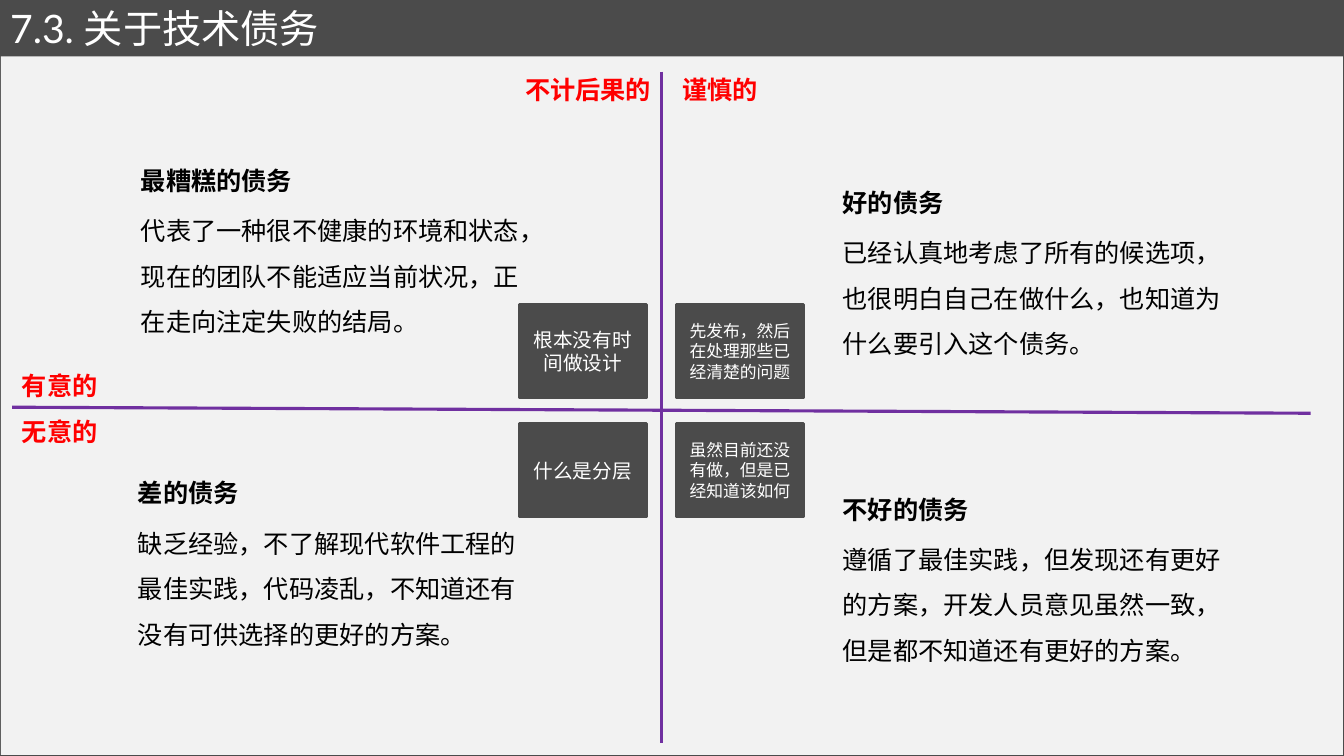
from lxml import etree
from pptx import Presentation
from pptx.dml.color import RGBColor
from pptx.enum.shapes import MSO_CONNECTOR, MSO_SHAPE
from pptx.enum.text import MSO_ANCHOR, PP_ALIGN
from pptx.oxml.ns import qn
from pptx.util import Inches, Pt

RECT, LINE = MSO_SHAPE.RECTANGLE, MSO_CONNECTOR.STRAIGHT
MIDDLE, TOP = MSO_ANCHOR.MIDDLE, MSO_ANCHOR.TOP
LEFT, CENTER = PP_ALIGN.LEFT, PP_ALIGN.CENTER

# Content
TITLE = "7.3. 关于技术债务"
COLORS = {"dark": "4B4B4B", "panel": "F2F2F2", "axis": "7030A0",
          "label": "FF0000", "text": "000000", "white": "FFFFFF"}
LABELS = [  # text, left, top, width
    ("不计后果的", 5.11, 0.69, 1.46),
    ("谨慎的", 6.67, 0.69, 0.96),
    ("有意的", 0.12, 3.62, 0.96),
    ("无意的", 0.12, 4.08, 0.96),
]
QUOTES = [  # rows of the quadrant, left to right
    ["根本没有时间做设计", "先发布，然后在处理那些已经清楚的问题"],
    ["什么是分层", "虽然目前还没有做，但是已经知道该如何"],
]
DEBTS = [  # left, top, heading, description
    (8.26, 1.81, "好的债务",
     "已经认真地考虑了所有的候选项，也很明白自己在做什么，也知道为什么要引入这个债务。"),
    (8.26, 4.85, "不好的债务",
     "遵循了最佳实践，但发现还有更好的方案，开发人员意见虽然一致，但是都不知道还有更好的方案。"),
    (1.3, 1.59, "最糟糕的债务",
     "代表了一种很不健康的环境和状态，现在的团队不能适应当前状况，正在走向注定失败的结局。"),
    (1.27, 4.69, "差的债务",
     "缺乏经验，不了解现代软件工程的最佳实践，代码凌乱，不知道还有没有可供选择的更好的方案。"),
]

# Grid of the quadrant
W, H = 13.33, 7.5
AXES = [(0.12, 4.04, 13, 4.1), (6.56, 0.71, 6.56, 7.37)]
QUOTE_LEFT, QUOTE_TOP, QUOTE_W, QUOTE_H = 5.15, 3.02, 1.26, 0.93
COL_STEP, ROW_STEP = 1.56, 1.18
QUOTE_SIZES = [14, 12]  # by column

prs = Presentation()
prs.slide_width, prs.slide_height = Inches(W), Inches(H)
s = prs.slides.add_slide(prs.slide_layouts[5])


def rgb(name):
    return RGBColor.from_string(COLORS[name])


def style(p, size, font, color, bold=False, align=LEFT):
    p.alignment = align
    p.font.size, p.font.name, p.font.bold = Pt(size), font, bold
    p.font.color.rgb = rgb(color)


def add_box(left, top, width, height, fill):
    sp = s.shapes.add_shape(RECT, *map(Inches, (left, top, width, height)))
    sp.shadow.inherit = False
    sp.fill.solid()
    sp.fill.fore_color.rgb = rgb(fill)
    sp.line.fill.background()
    return sp


def add_text(left, top, width, height, wrap):
    tf = s.shapes.add_textbox(*map(Inches, (left, top, width, height))).text_frame
    tf.word_wrap = wrap
    tf.vertical_anchor = TOP
    return tf


# Background, panel and title
s.background.fill.solid()
s.background.fill.fore_color.rgb = rgb("dark")
add_box(0.01, 0.56, 13.31, 6.93, "panel")
title = s.shapes.title
title.left, title.top, title.width, title.height = map(Inches, (0, 0.01, 11.16, 0.53))
tf = title.text_frame
tf.text = TITLE
tf.vertical_anchor = MIDDLE
style(tf.paragraphs[0], 28, "Lato", "white")

# Axes
for ends in AXES:
    axis = s.shapes.add_connector(LINE, *map(Inches, ends))
    axis.line.color.rgb = rgb("axis")
    axis.line.width = Pt(2.25)
    etree.SubElement(axis._element.spPr, qn("a:effectLst"))

# Axis labels
for text, left, top, width in LABELS:
    tf = add_text(left, top, width, 0.4, False)
    tf.text = text
    style(tf.paragraphs[0], 18, "Noto Sans CJK SC", "label", bold=True)

# Quotes around the crossing
for row, quotes in enumerate(QUOTES):
    for col, text in enumerate(quotes):
        sp = add_box(QUOTE_LEFT + col * COL_STEP, QUOTE_TOP + row * ROW_STEP,
                     QUOTE_W, QUOTE_H, "dark")
        sp.line.color.rgb = rgb("dark")
        sp.line.width = Pt(2)
        tf = sp.text_frame
        tf.word_wrap = True
        tf.vertical_anchor = MIDDLE
        tf.text = text
        style(tf.paragraphs[0], QUOTE_SIZES[col], "Arial", "white", align=CENTER)

# Kinds of debt
for left, top, heading, description in DEBTS:
    tf = add_text(left, top, 4.14, 1.77, True)
    tf.text = heading
    style(tf.paragraphs[0], 18, "Arial", "text", bold=True)
    p = tf.add_paragraph()
    p.text = description
    p.line_spacing = 1.5
    p.space_before = Pt(3.6)
    style(p, 18, "Arial", "text")

prs.save("out.pptx")
